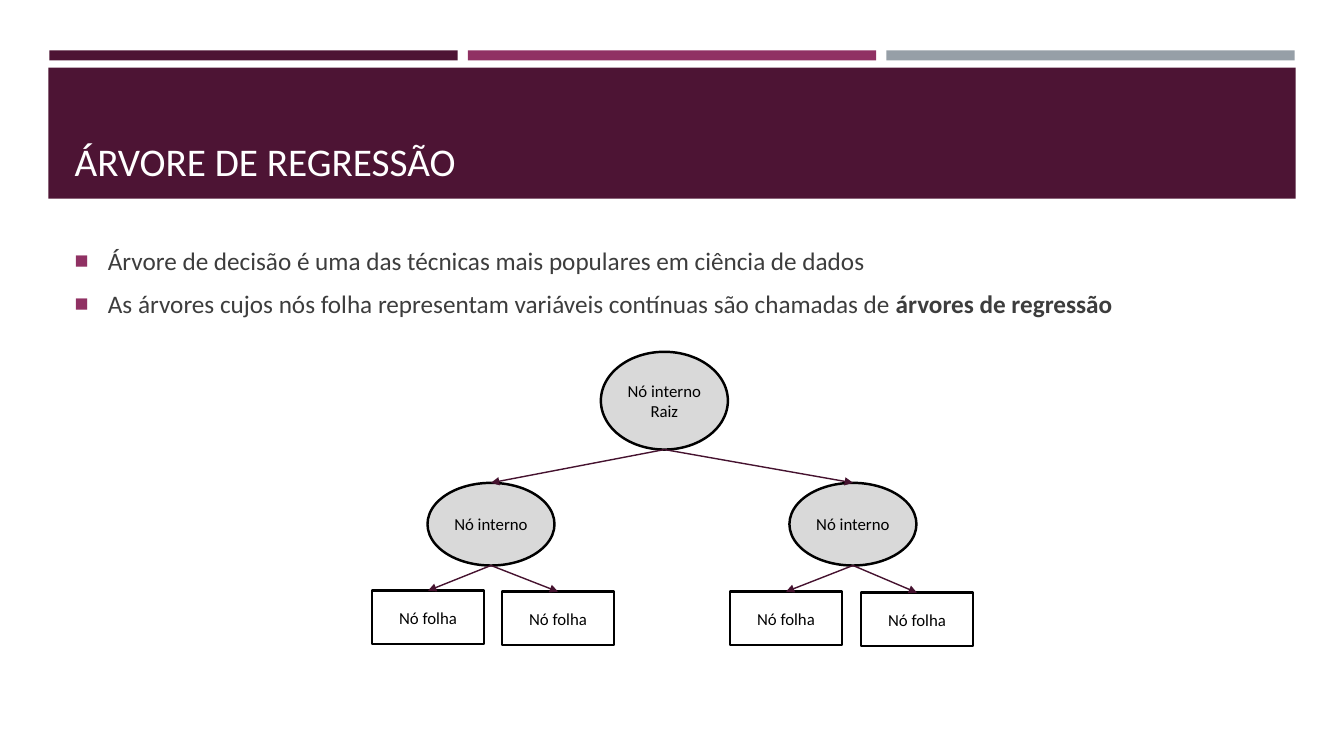
from dataclasses import dataclass

from lxml.etree import SubElement
from pptx import Presentation
from pptx.dml.color import RGBColor
from pptx.enum.shapes import MSO_CONNECTOR, MSO_SHAPE
from pptx.enum.text import MSO_ANCHOR, MSO_AUTO_SIZE, PP_ALIGN
from pptx.oxml.ns import qn
from pptx.util import Inches, Pt

PLUM = RGBColor(0x4D, 0x14, 0x34)
MAGENTA = RGBColor(0x90, 0x31, 0x63)
SLATE = RGBColor(0x96, 0x9F, 0xA7)
ARROW = RGBColor(0x45, 0x12, 0x2F)
TEXT = RGBColor(0x3D, 0x3D, 0x3D)
GRAY = RGBColor(0xD9, 0xD9, 0xD9)
BLACK = RGBColor(0, 0, 0)
WHITE = RGBColor(255, 255, 255)

BULLETS = [
    [("Árvore de decisão é uma das técnicas mais populares em ciência de dados", False)],
    [("As árvores cujos nós folha representam variáveis contínuas são chamadas de ", False),
     ("árvores de regressão", True)],
]


@dataclass(frozen=True)
class Box:
    left: float
    top: float
    width: float
    height: float

    def inches(self):
        return [Inches(value) for value in (self.left, self.top, self.width, self.height)]


@dataclass(frozen=True)
class Node:
    text: str
    box: Box
    children: tuple = ()


def leaf(left: float, top: float) -> Node:
    return Node("Nó folha", Box(left, top, 1.11, 0.53))


def inner(left: float, *leaves: Node) -> Node:
    return Node("Nó interno", Box(left, 4.79, 1.26, 0.82), leaves)


TREE = Node("Nó interno\vRaiz", Box(5.96, 3.49, 1.26, 0.97), (
    inner(4.24, leaf(3.69, 5.86), leaf(4.98, 5.87)),
    inner(7.83, leaf(7.24, 5.87), leaf(8.54, 5.88)),
))


def set_font(font, size: float, color: RGBColor, bold: bool = False) -> None:
    formats = {"name": "Calibri", "size": Pt(size), "bold": bold}
    for name, value in formats.items():
        setattr(font, name, value)
    font.color.rgb = color


def place(shape, box: Box) -> None:
    for name, value in zip(("left", "top", "width", "height"), box.inches()):
        setattr(shape, name, value)


def set_frame(frame, anchor, **margins) -> None:
    formats = {"word_wrap": True, "auto_size": MSO_AUTO_SIZE.NONE, "vertical_anchor": anchor}
    for name, value in {**formats, **margins}.items():
        setattr(frame, name, value)


def add_filled(page, kind, box: Box, fill: RGBColor):
    shape = page.shapes.add_shape(kind, *box.inches())
    shape.shadow.inherit = False
    shape.fill.solid()
    shape.fill.fore_color.rgb = fill
    shape.line.fill.background()
    return shape


def add_bullet(para) -> None:
    para.space_before, para.space_after = Pt(3.6), Pt(6)
    properties = para._p.get_or_add_pPr()
    properties.set("marL", str(Inches(0.33)))
    properties.set("indent", str(-Inches(0.33)))
    color = SubElement(properties, qn("a:buClr"))
    SubElement(color, qn("a:srgbClr"), val=str(MAGENTA))
    SubElement(properties, qn("a:buSzPct"), val="92000")
    SubElement(properties, qn("a:buFont"), typeface="Arial")
    SubElement(properties, qn("a:buChar"), char="■")


def add_arrow(page, parent: Box, child: Box) -> None:
    ends = (parent.left + parent.width / 2, parent.top + parent.height,
            child.left + child.width / 2, child.top)
    arrow = page.shapes.add_connector(MSO_CONNECTOR.STRAIGHT, *map(Inches, ends))
    arrow.line.color.rgb = ARROW
    arrow.line.width = Pt(1)
    SubElement(arrow.line._get_or_add_ln(), qn("a:tailEnd"), type="triangle")
    SubElement(arrow._element.spPr, qn("a:effectLst"))


def add_node(page, node: Node) -> None:
    kind, fill = (MSO_SHAPE.OVAL, GRAY) if node.children else (MSO_SHAPE.RECTANGLE, WHITE)
    shape = add_filled(page, kind, node.box, fill)
    shape.line.color.rgb = BLACK
    shape.line.width = Pt(1.75)
    frame = shape.text_frame
    set_frame(frame, MSO_ANCHOR.MIDDLE, margin_left=0, margin_right=0,
              margin_top=0, margin_bottom=0)
    para = frame.paragraphs[0]
    para.text = node.text
    para.alignment = PP_ALIGN.CENTER
    for span in para.runs:
        set_font(span.font, 12, BLACK)
    for child in node.children:
        add_node(page, child)
        add_arrow(page, node.box, child.box)


def main() -> None:
    deck = Presentation()
    deck.slide_width, deck.slide_height = Inches(13.33), Inches(7.5)
    page = deck.slides.add_slide(deck.slide_layouts[1])
    title, body = page.shapes.title, page.placeholders[1]

    # Header bars and title band
    for index, color in enumerate((PLUM, MAGENTA, SLATE)):
        add_filled(page, MSO_SHAPE.RECTANGLE, Box(0.49 + 4.15 * index, 0.5, 4.05, 0.1), color)
    add_filled(page, MSO_SHAPE.RECTANGLE, Box(0.48, 0.67, 12.37, 1.3), PLUM)

    # Title and list, brought in front of the band
    for holder in (title, body):
        holder._element.getparent().append(holder._element)
    place(title, Box(0.64, 0.77, 12.06, 1.11))
    set_frame(title.text_frame, MSO_ANCHOR.BOTTOM)
    heading = title.text_frame.paragraphs[0]
    heading.text = "ÁRVORE DE REGRESSÃO"
    heading.alignment = PP_ALIGN.LEFT
    set_font(heading.runs[0].font, 28, WHITE)

    place(body, Box(0.64, 2.38, 12.06, 4.02))
    frame = body.text_frame
    set_frame(frame, MSO_ANCHOR.TOP)
    for index, spans in enumerate(BULLETS):
        para = frame.add_paragraph() if index else frame.paragraphs[0]
        add_bullet(para)
        for text, bold in spans:
            span = para.add_run()
            span.text = text
            set_font(span.font, 18, TEXT, bold)

    # Regression tree
    add_node(page, TREE)

    deck.save("out.pptx")


if __name__ == "__main__":
    main()
